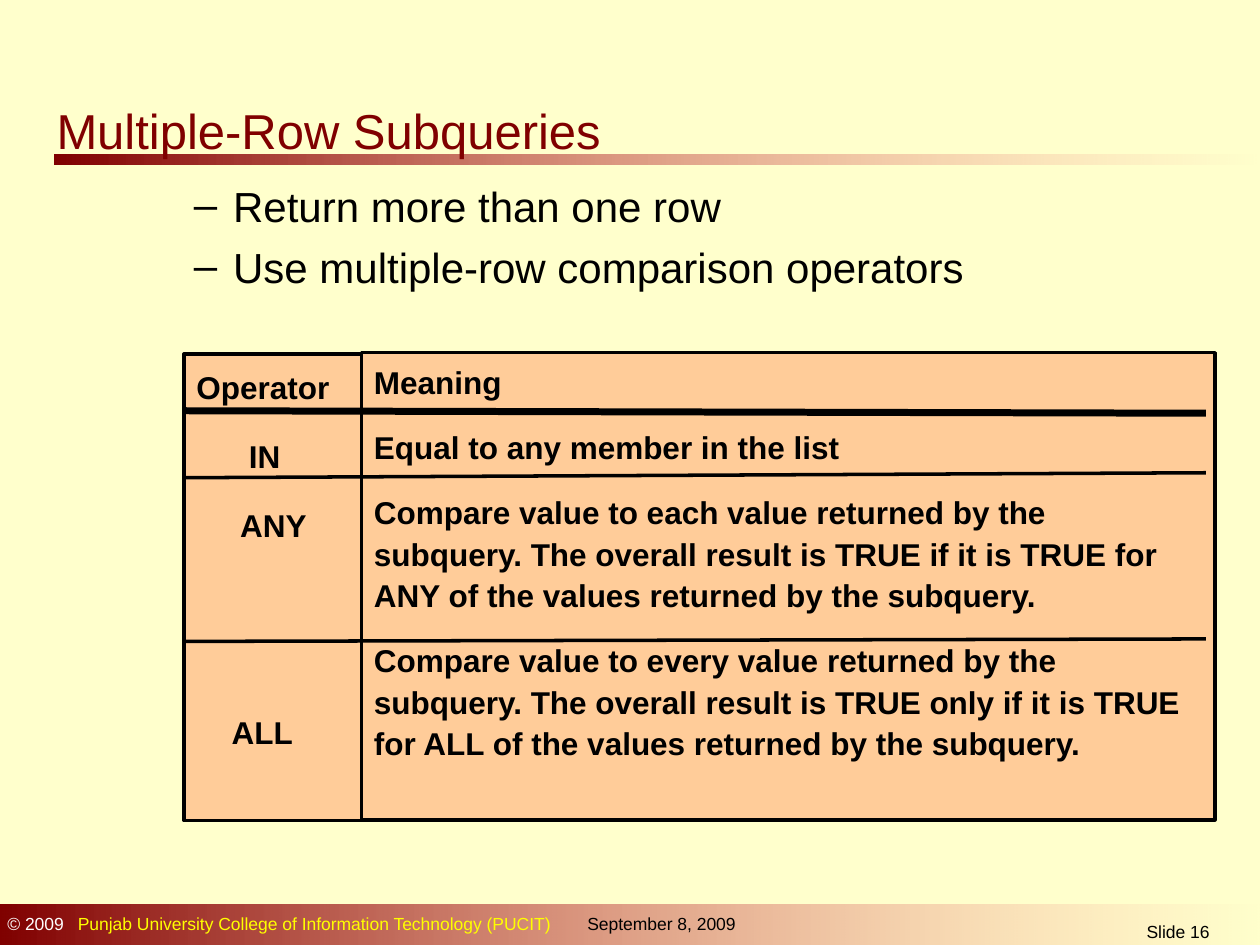
from pptx import Presentation
from pptx.dml.color import RGBColor
from pptx.enum.shapes import MSO_CONNECTOR, MSO_SHAPE
from pptx.enum.text import MSO_ANCHOR, PP_ALIGN
from pptx.oxml.ns import qn
from pptx.util import Cm, Pt
from lxml.etree import SubElement


def tint(code):
    return RGBColor.from_string(code)


class Deck:
    font = "Arial"
    ink = "000000"
    wine = "800000"
    rose = "FF8585"
    peach = "FFCC99"
    cream = "FFFFCC"

    def __init__(self):
        self.show = Presentation()
        self.show.slide_width, self.show.slide_height = Cm(25.4), Cm(19.05)
        self.slide = self.show.slides.add_slide(self.show.slide_layouts[6])
        back = self.slide.background.fill
        back.solid()
        back.fore_color.rgb = tint(self.cream)

    def rect(self, box):
        shape = self.slide.shapes.add_shape(MSO_SHAPE.RECTANGLE, *map(Cm, box))
        shape.shadow.inherit = False
        return shape

    def band(self, *box):
        shape = self.rect(box)
        shape.line.fill.background()
        shape.fill.gradient()
        shape.fill.gradient_angle = 0
        for stop, code, place in zip(shape.fill.gradient_stops, (self.wine, self.rose), (0, 1)):
            stop.color.rgb = tint(code)
            stop.position = place
        last = list(shape.element.spPr.iter(qn("a:srgbClr")))[-1]
        SubElement(last, qn("a:alpha")).set("val", "0")

    def words(self, frame, lines, size, color=None, bold=False, gap=0, space=None):
        frame.word_wrap = True
        frame.text = "\n".join(lines)
        for num, para in enumerate(frame.paragraphs):
            para.alignment = PP_ALIGN.LEFT
            para.line_spacing = space
            para.space_before = Pt(gap if num else 0)
            for run in para.runs:
                font = run.font
                font.name, font.size, font.bold = self.font, Pt(size), bold
                font.color.rgb = tint(color or self.ink)
        return frame.paragraphs

    def text(self, box, lines, size, color=None, gap=0, anchor=MSO_ANCHOR.TOP):
        frame = self.slide.shapes.add_textbox(*map(Cm, box)).text_frame
        frame.vertical_anchor = anchor
        return self.words(frame, lines, size, color, gap=gap)

    def panel(self, box, lines, space):
        shape = self.rect(box)
        shape.fill.solid()
        shape.fill.fore_color.rgb = tint(self.peach)
        shape.line.color.rgb = tint(self.ink)
        shape.line.width = Pt(2)
        shape.text_frame.vertical_anchor = MSO_ANCHOR.TOP
        return self.words(shape.text_frame, lines, 18, bold=True, gap=13.5, space=space)

    def rule(self, left, top, right, end, width):
        line = self.slide.shapes.add_connector(
            MSO_CONNECTOR.STRAIGHT, *map(Cm, (left, top, right, end)))
        line.line.color.rgb = tint(self.ink)
        line.line.width = Pt(width)
        SubElement(line.element.spPr, qn("a:effectLst"))

    def inset(self, para, left, first=0):
        props = para._p.get_or_add_pPr()
        props.set("marL", str(Cm(left)))
        props.set("indent", str(Cm(first)))
        return props

    def bullet(self, para):
        props = self.inset(para, 2.06, -0.79)
        color = SubElement(props, qn("a:buClr"))
        SubElement(color, qn("a:srgbClr")).set("val", self.ink)
        SubElement(props, qn("a:buFont")).set("typeface", self.font)
        SubElement(props, qn("a:buChar")).set("char", "–")

    def tab(self, para, place):
        stops = SubElement(para._p.get_or_add_pPr(), qn("a:tabLst"))
        stop = SubElement(stops, qn("a:tab"))
        stop.set("pos", str(Cm(place)))
        stop.set("algn", "l")


def main():
    deck = Deck()
    deck.band(1.09, 3.12, 24.31, 0.2)
    deck.band(0, 18.24, 25.48, 0.89)

    owner = deck.text((-0.1, 18.29, 16.41, 0.69), ["© 2009\t"], 10, "FFFFFF")[0]
    deck.tab(owner, 1.42)
    school = owner.add_run()
    school.text = "Punjab University College of Information Technology (PUCIT)"
    school.font.name, school.font.size = deck.font, Pt(10)
    school.font.color.rgb = tint("FFFF00")
    date = deck.text((10.9, 18.29, 4.6, 0.69), ["September 8, 2009"], 10)[0]
    deck.inset(date, 0.69)
    page = deck.text((21.11, 18.44, 5.28, 0.61), ["Slide 16"], 10)[0]
    page.alignment = PP_ALIGN.CENTER

    deck.text((0.89, 1.83, 11.68, 1.5), ["Multiple-Row Subqueries"], 28, deck.wine,
              anchor=MSO_ANCHOR.BOTTOM)
    points = ["Return more than one row", "Use multiple-row comparison operators"]
    for para in deck.text((2.39, 3.51, 21.31, 2.49), points, 24, gap=6):
        deck.bullet(para)

    names = deck.panel((3.71, 7.14, 5.38, 9.4), ["Operator", "IN", "ANY", "ALL"], 1.2)
    for para, left in zip(names[1:], (1.06, 0.88, 0.71)):
        deck.inset(para, left)
    names[-1].space_before = Pt(92.3)
    deck.panel((7.29, 7.11, 17.2, 9.42), [
        "Meaning",
        "Equal to any member in the list",
        "Compare value to each value returned by the subquery. "
        "The overall result is TRUE if it is TRUE for ANY of the values "
        "returned by the subquery.",
        "Compare value to every value returned by the subquery. "
        "The overall result is TRUE only if it is TRUE for ALL of the values "
        "returned by the subquery.",
    ], 1.1)
    for top, end, width in ((8.28, 8.33, 4), (9.63, 9.53, 2), (12.93, 12.88, 2)):
        deck.rule(3.71, top, 24.31, end, width)

    deck.show.save("out.pptx")


if __name__ == "__main__":
    main()
